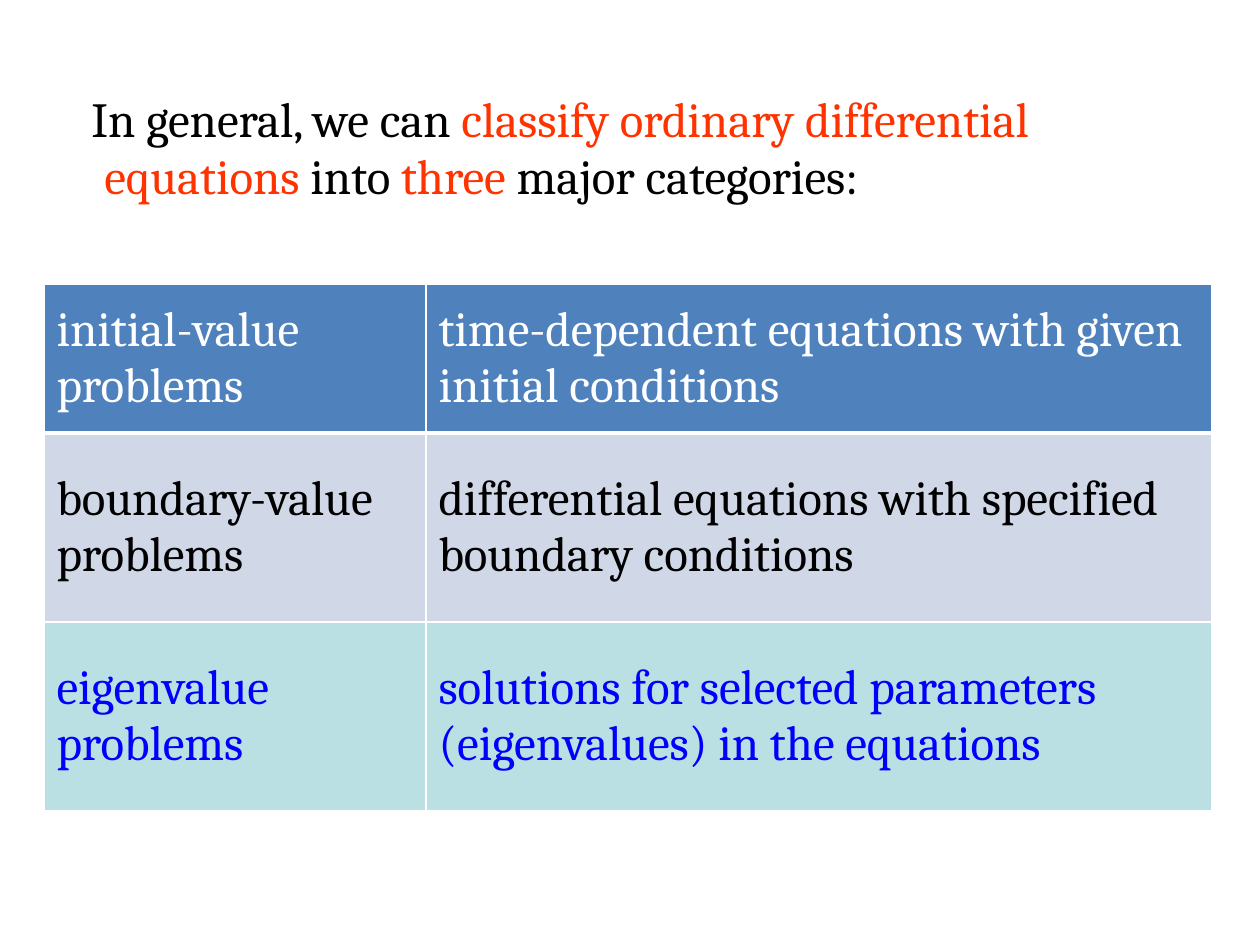
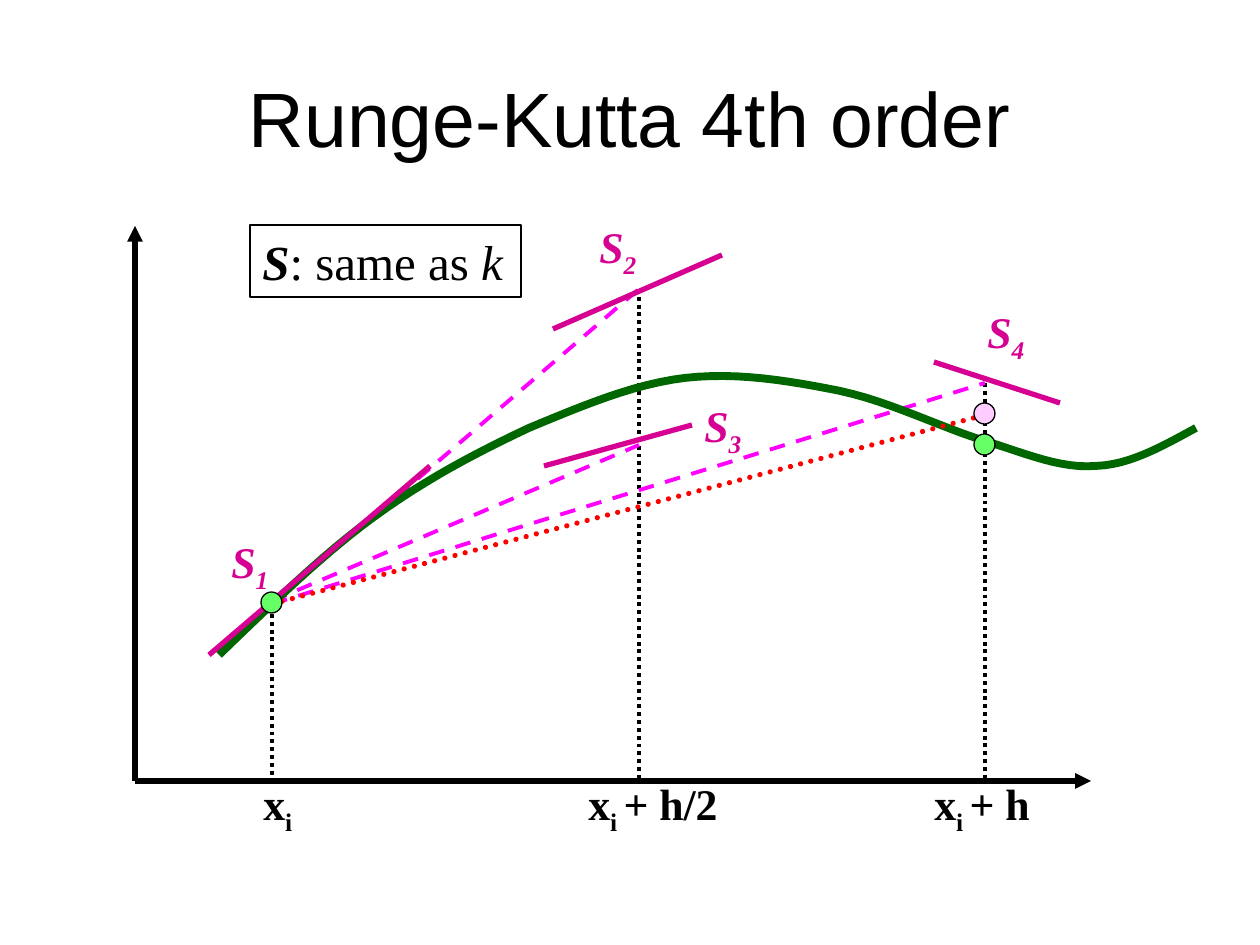
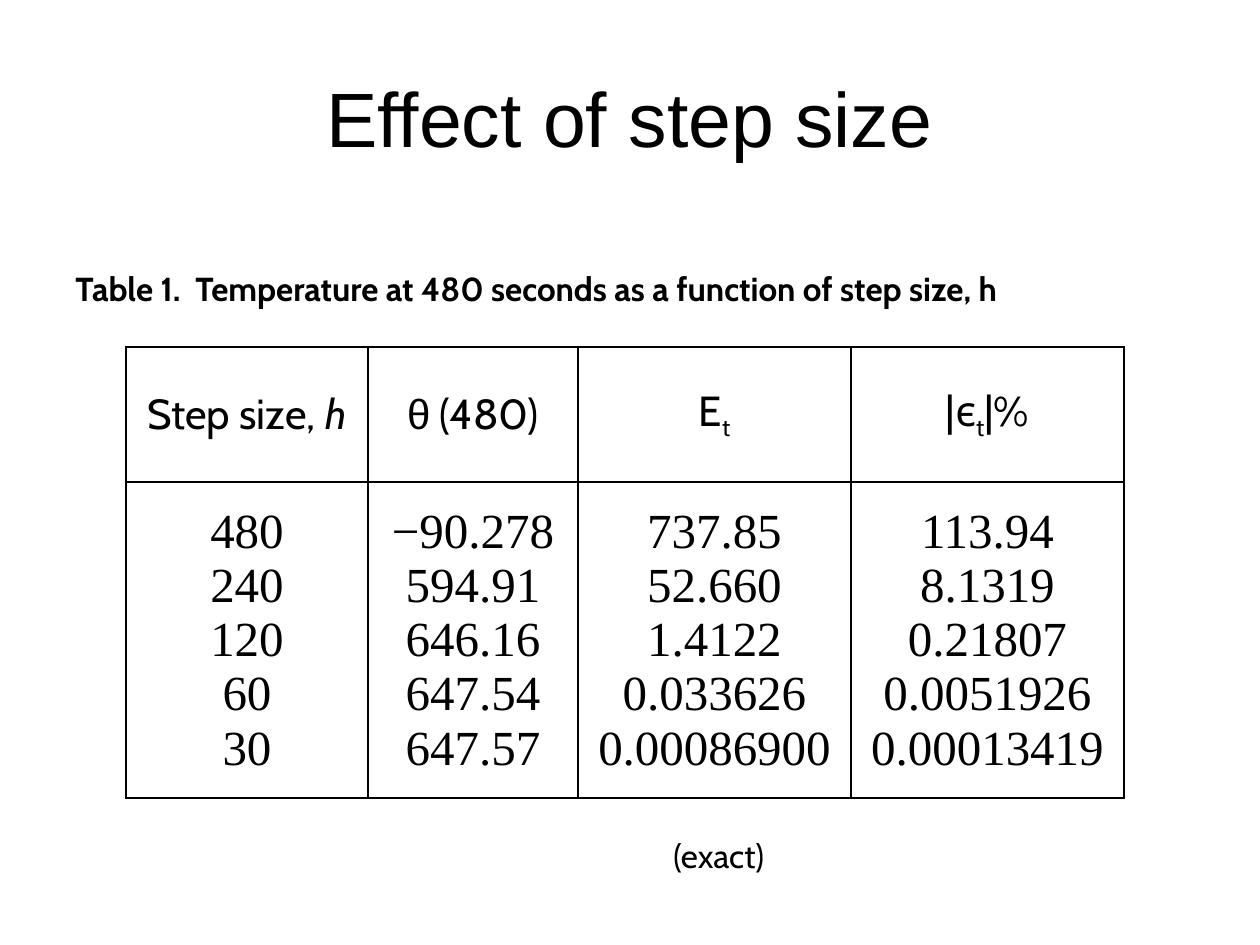
"""Build three slides on ordinary differential equations and the Runge-Kutta method."""
import pptx
import pptx.dml.color
import pptx.enum.dml
import pptx.enum.shapes
import pptx.enum.text
import pptx.oxml
import pptx.oxml.ns
import pptx.util
from lxml import etree

PX = 7257
BLACK, WHITE, RED, ORANGE = "000000", "FFFFFF", "FF0000", "FF3300"
MAGENTA, PINK, GREEN = "D60093", "FF00FF", "006600"
SERIF, CABIN = "Times New Roman", "Cabin"
DOT = pptx.enum.dml.MSO_LINE.ROUND_DOT
DASH = pptx.enum.dml.MSO_LINE.DASH
LEFT, CENTER = pptx.enum.text.PP_ALIGN.LEFT, pptx.enum.text.PP_ALIGN.CENTER
TOP, MIDDLE = pptx.enum.text.MSO_ANCHOR.TOP, pptx.enum.text.MSO_ANCHOR.MIDDLE
OVAL = pptx.enum.shapes.MSO_SHAPE.OVAL
RECTANGLE = pptx.enum.shapes.MSO_SHAPE.RECTANGLE
STRAIGHT = pptx.enum.shapes.MSO_CONNECTOR.STRAIGHT
SUB = {"baseline": "-25000"}
ITALIC = {"i": "1"}


def rgb(color):
    return pptx.dml.color.RGBColor.from_string(color)


def write(tf, paragraphs, size, font, color=BLACK, align=LEFT, bold=False, italic=False, before=0):
    tf.word_wrap = True
    for i, runs in enumerate(paragraphs):
        p = tf.add_paragraph() if i else tf.paragraphs[0]
        p.alignment = align
        p.space_before = pptx.util.Pt(before)
        p.font.size, p.font.name = pptx.util.Pt(size), font
        p.font.bold, p.font.italic = bold, italic
        p.font.color.rgb = rgb(color)
        for text, style in runs:
            r = p.add_run()
            r.text = text
            for key, value in style.items():
                if key == "color":
                    r.font.color.rgb = rgb(value)
                elif key == "font":
                    r.font.name = value
                else:
                    r.font._element.set(key, value)


prs = pptx.Presentation()
prs.slide_width, prs.slide_height = 1260 * PX, 945 * PX
slides = [prs.slides.add_slide(prs.slide_layouts[6]) for _ in range(3)]

for s, title in zip(slides[1:], ("Runge-Kutta 4th order", "Effect of step size")):
    tf = s.shapes.add_textbox(63 * PX, 38 * PX, 1134 * PX, 157 * PX).text_frame
    tf.vertical_anchor = MIDDLE
    write(tf, [[(title, {})]], 44, "Arial", align=CENTER)

s = slides[0]
tf = s.shapes.add_textbox(44 * PX, 86 * PX, 1131 * PX, 139 * PX).text_frame
write(tf, [[("In general, we can ", {}),
            ("classify ordinary differential equations", {"color": ORANGE}),
            (" into ", {}), ("three", {"color": ORANGE}),
            (" major categories:", {})]], 28, "Cambria", before=3)
p = tf.paragraphs[0]
p.line_spacing = 0.97
p._p.get_or_add_pPr().set("marL", str(48 * PX))
p._p.get_or_add_pPr().set("indent", str(-13 * PX))

categories = [
    ("initial-value problems", "time-dependent equations with given initial conditions", WHITE, "4F81BD"),
    ("boundary-value problems", "differential equations with specified boundary conditions", BLACK, "D0D8E8"),
    ("eigenvalue problems", "solutions for selected parameters (eigenvalues) in the equations", "0000FF", "BBE0E3"),
]
category_table = s.shapes.add_table(3, 2, 44 * PX, 284 * PX, 1168 * PX, 528 * PX).table
for row, (name, meaning, color, fill) in enumerate(categories):
    for col, text in enumerate((name, meaning)):
        cell = category_table.cell(row, col)
        cell.fill.solid()
        cell.fill.fore_color.rgb = rgb(fill)
        write(cell.text_frame, [[(text, {})]], 28, "Cambria", color)

s = slides[1]
x_start, x_half, x_end = 272, 639, 985
segments = [
    (135, 781, 1091, 781, BLACK, 3, None),
    (135, 781, 135, 226, BLACK, 3, None),
    (x_start, 614, x_start, 781, BLACK, 2.25, DOT),
    (x_half, 289, x_half, 781, BLACK, 2.25, DOT),
    (x_end, 383, x_end, 781, BLACK, 2.25, DOT),
    (x_start, 604, x_half, 289, PINK, 2.25, DASH),
    (553, 329, 722, 255, MAGENTA, 3, None),
    (x_start, 601, x_half, 445, PINK, 2.25, DASH),
    (544, 466, 692, 425, MAGENTA, 3, None),
    (x_start, 604, x_end, 383, PINK, 2.25, DASH),
    (934, 362, 1060, 403, MAGENTA, 3, None),
    (x_start, 604, x_end, 415, RED, 3, DOT),
    (209, 655, 430, 466, MAGENTA, 3, None),
]
lines = []
for x1, y1, x2, y2, color, width, dash in segments:
    line = s.shapes.add_connector(STRAIGHT, x1 * PX, y1 * PX, x2 * PX, y2 * PX)
    line.line.color.rgb = rgb(color)
    line.line.width = pptx.util.Pt(width)
    line.line.dash_style = dash
    ln = line.line._get_or_add_ln()
    if color == RED:
        ln.set("cap", "rnd")
    if color == BLACK and not dash:
        etree.SubElement(ln, pptx.oxml.ns.qn("a:tailEnd"), type="triangle")
    etree.SubElement(line._element.spPr, pptx.oxml.ns.qn("a:effectLst"))
    lines.append(line)

bezier = [(219, 655), (271, 605), (323, 554), (374, 517), (426, 479), (478, 452), (529, 428),
          (582, 406), (634, 384), (685, 378), (737, 372), (790, 381), (840, 391),
          (891, 402), (942, 428), (985, 441), (1027, 454), (1061, 469), (1096, 466),
          (1130, 465), (1163, 446), (1196, 428)]
points = []
for i in range(0, len(bezier) - 1, 3):
    for step in range(1, 13):
        t = step / 12
        weights = ((1 - t) ** 3, 3 * t * (1 - t) ** 2, 3 * t * t * (1 - t), t ** 3)
        points.append([sum(w * c[axis] * 100 for w, c in zip(weights, bezier[i:i + 4])) for axis in (0, 1)])
builder = s.shapes.build_freeform(bezier[0][0] * 100, bezier[0][1] * 100, scale=PX / 100)
builder.add_line_segments(points, close=False)
curve = builder.convert_to_shape()
curve.shadow.inherit = False
curve.fill.background()
curve.line.color.rgb = rgb(GREEN)
curve.line.width = pptx.util.Pt(4.5)
lines[-3]._element.addprevious(curve._element)

for x, y, index in ((219, 529, "1"), (587, 214, "2"), (692, 393, "3"), (975, 299, "4")):
    tf = s.shapes.add_textbox(x * PX, y * PX, 73 * PX, 66 * PX).text_frame
    write(tf, [[("S", {}), (index, SUB)]], 25, SERIF, MAGENTA, bold=True, italic=True, before=3)

for x, width, index, offset in ((251, 63, "i", ""), (576, 179, "i ", "+ h/2"), (922, 179, "i ", "+ h")):
    tf = s.shapes.add_textbox(x * PX, 771 * PX, width * PX, 66 * PX).text_frame
    runs = [("x", {}), (index, SUB)] + ([(offset, {})] if offset else [])
    write(tf, [runs], 25, SERIF, bold=True, before=3)

for x, y, color in ((x_start, 603, "66FF66"), (x_end, 445, "66FF66"), (x_end, 414, "FFCCFF")):
    dot = s.shapes.add_shape(OVAL, (x - 11) * PX, (y - 11) * PX, 21 * PX, 21 * PX)
    dot.shadow.inherit = False
    dot.fill.solid()
    dot.fill.fore_color.rgb = rgb(color)
    dot.line.color.rgb = rgb(BLACK)
    dot.line.width = pptx.util.Pt(0.75)

note = s.shapes.add_shape(RECTANGLE, 250 * PX, 225 * PX, 271 * PX, 72 * PX)
note.shadow.inherit = False
note.fill.background()
note.line.color.rgb = rgb(BLACK)
note.line.width = pptx.util.Pt(1.5)
note.text_frame.vertical_anchor = TOP
write(note.text_frame, [[("S", {"b": "1", "i": "1"}), (": same as ", {}), ("k", ITALIC)]], 28, SERIF, before=3)

s = slides[2]
columns = [
    ([("Step size, ", {}), ("h", ITALIC)], ("480", "240", "120", "60", "30")),
    ([("θ", {"font": "Arial"}), (" (480)", {})], ("−90.278", "594.91", "646.16", "647.54", "647.57")),
    ([("E", {}), ("t", SUB)], ("737.85", "52.660", "1.4122", "0.033626", "0.00086900")),
    ([("|є", {}), ("t", SUB), ("|%", {})], ("113.94", "8.1319", "0.21807", "0.0051926", "0.00013419")),
]
step_table = s.shapes.add_table(2, 4, 126 * PX, 347 * PX, 998 * PX, 451 * PX).table
for col, (heading, values) in enumerate(columns):
    write(step_table.cell(0, col).text_frame, [heading], 24, CABIN, align=CENTER)
    write(step_table.cell(1, col).text_frame, [[(v, {})] for v in values], 28, SERIF, align=CENTER)
    for row in (0, 1):
        step_table.cell(row, col).fill.background()

for x, y, width, text, bold in (
        (63, 262, 1119, "Table 1.  Temperature at 480 seconds as a function of step size, h", True),
        (661, 829, 129, "(exact)", False)):
    tf = s.shapes.add_textbox(x * PX, y * PX, width * PX, 53 * PX).text_frame
    tf.vertical_anchor = MIDDLE
    write(tf, [[(text, {})]], 19, CABIN, bold=bold)

for table, color, widths, heights, thick in (
        (category_table, WHITE, (382, 786), (149, 189, 189), ((0, "lnB"), (1, "lnT"))),
        (step_table, BLACK, (242, 210, 273, 273), (135, 316), ())):
    table.first_row = table.horz_banding = False
    for column, width in zip(table.columns, widths):
        column.width = width * PX
    for row, height in enumerate(heights):
        table.rows[row].height = height * PX
        for cell in table.rows[row].cells:
            cell.vertical_anchor = MIDDLE
            for i, side in enumerate(("lnL", "lnR", "lnT", "lnB")):
                points_wide = 3 if (row, side) in thick else 1
                border = pptx.oxml.parse_xml(
                    f'<a:{side} {pptx.oxml.ns.nsdecls("a")} w="{points_wide * 12700}">'
                    f'<a:solidFill><a:srgbClr val="{color}"/></a:solidFill></a:{side}>')
                cell._tc.get_or_add_tcPr().insert(i, border)

prs.save("out.pptx")
